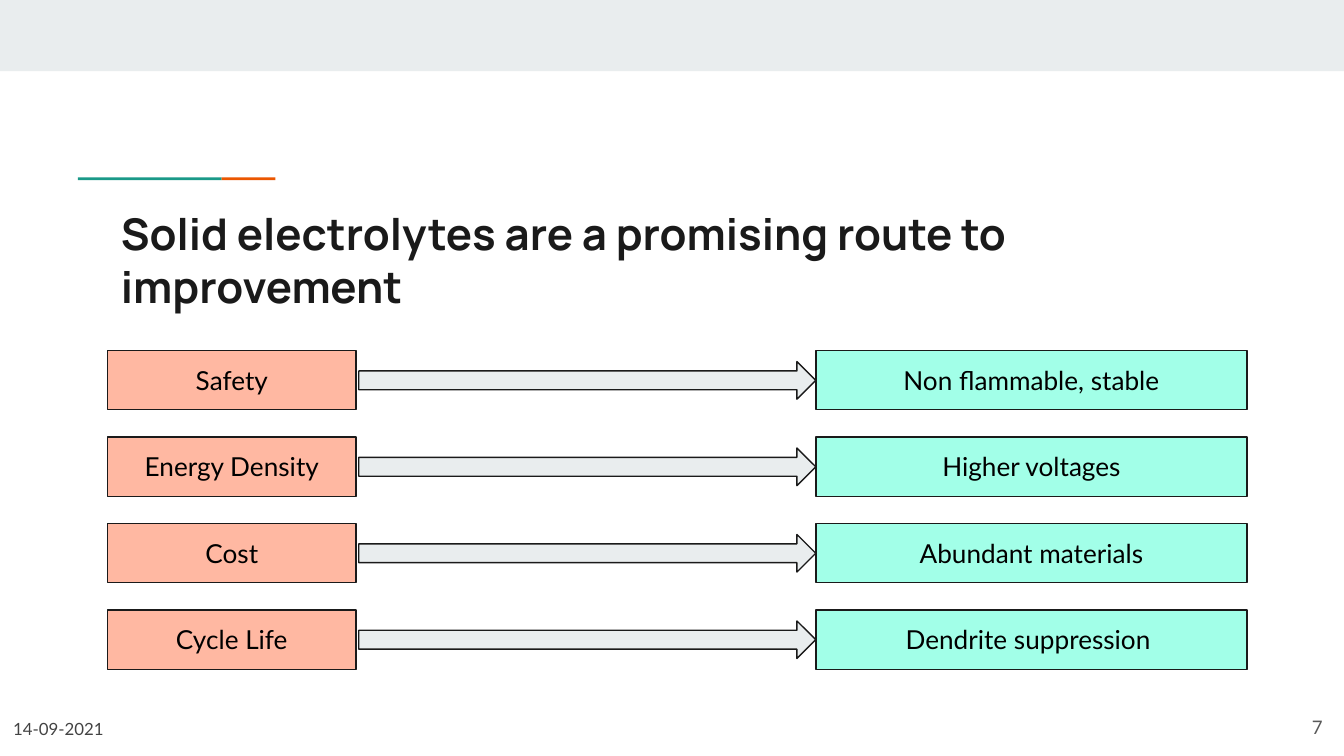
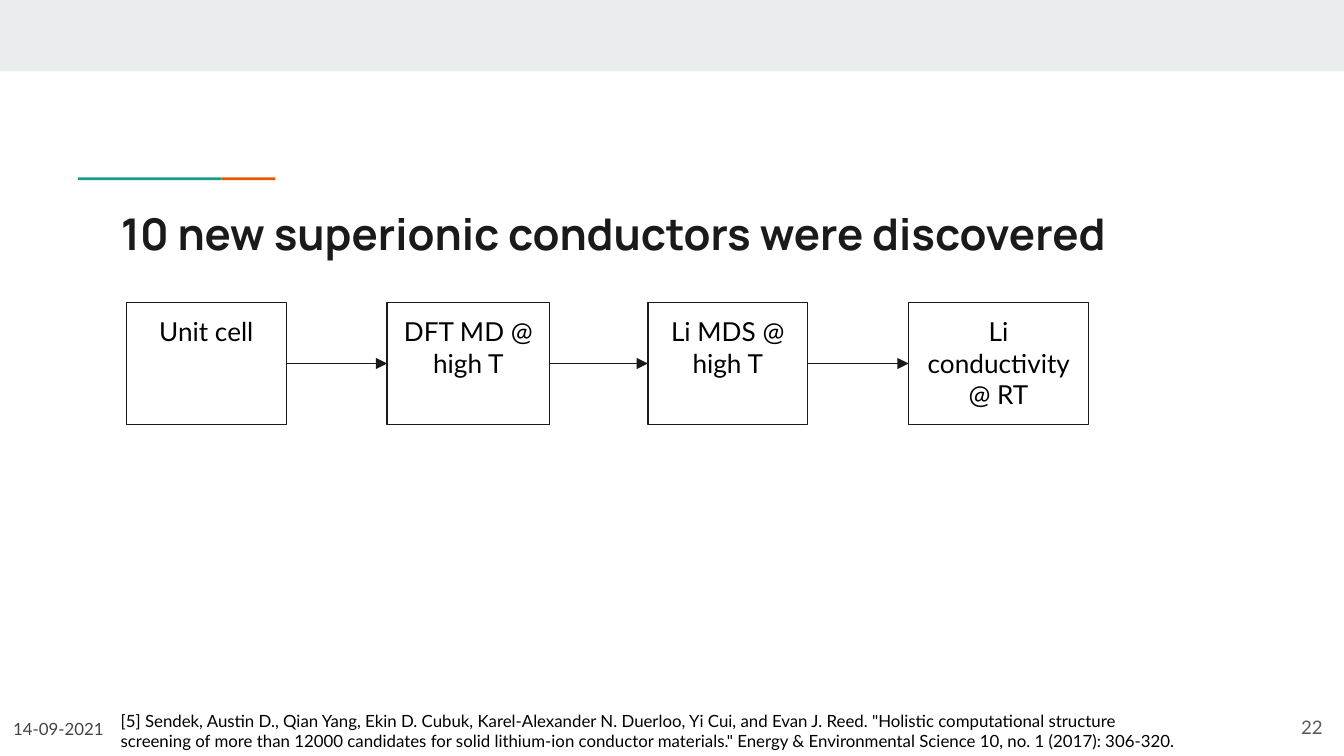
from itertools import pairwise

from lxml.etree import SubElement
from pptx import Presentation
from pptx.dml.color import RGBColor
from pptx.enum.shapes import MSO_CONNECTOR as Connector, MSO_SHAPE as Shape
from pptx.enum.text import MSO_ANCHOR as Anchor, PP_ALIGN as Align
from pptx.oxml.ns import qn
from pptx.util import Inches, Pt

INK = RGBColor(0x1A, 0x1A, 0x1A)
BLACK = RGBColor(0x00, 0x00, 0x00)
DATE_GRAY = RGBColor(0x43, 0x43, 0x43)
NUMBER_GRAY = RGBColor(0x59, 0x59, 0x59)
BAND_GRAY = RGBColor(0xE9, 0xED, 0xEE)
TEAL = RGBColor(0x1A, 0x99, 0x88)
ORANGE = RGBColor(0xEB, 0x56, 0x00)
SALMON = RGBColor(0xFF, 0xB8, 0xA2)
MINT = RGBColor(0xA2, 0xFF, 0xE8)

WIDTH = 10
HEIGHT = WIDTH * 9 / 16
MARGIN = 0.08 * WIDTH


def write(shape, text, font="Lato", size=14, color=BLACK, bold=False,
          align=Align.LEFT, anchor=Anchor.TOP):
    frame = shape.text_frame
    frame.word_wrap = True
    frame.vertical_anchor = anchor
    frame.margin_left = frame.margin_right = Inches(0.1)
    frame.margin_top = frame.margin_bottom = Inches(0.1)
    frame.text = text
    paragraph = frame.paragraphs[0]
    paragraph.alignment = align
    paragraph.font.name = font
    paragraph.font.size = Pt(size)
    paragraph.font.bold = bold
    paragraph.font.color.rgb = color


def draw(slide, kind, left, top, width, height, fill=None, outline=None):
    shape = slide.shapes.add_shape(
        kind, Inches(left), Inches(top), Inches(width), Inches(height))
    shape.shadow.inherit = False
    if fill is None:
        shape.fill.background()
    else:
        shape.fill.solid()
        shape.fill.fore_color.rgb = fill
    if outline is None:
        shape.line.fill.background()
    else:
        shape.line.color.rgb = outline
        shape.line.width = Pt(0.75)
    return shape


presentation = Presentation()
presentation.slide_width = Inches(WIDTH)
presentation.slide_height = Inches(HEIGHT)
title_only = presentation.slide_layouts[5]

# Shared frame: band, accent rule, title, slide number and date
slides = []
for heading, number in [
    ("Solid electrolytes are a promising route to improvement", "7"),
    ("10 new superionic conductors were discovered", "22"),
]:
    slide = presentation.slides.add_slide(title_only)
    slides.append(slide)
    draw(slide, Shape.RECTANGLE, 0, 0, WIDTH, 0.53, BAND_GRAY)
    draw(slide, Shape.RECTANGLE, 0.58, 1.32, 1.07, 0.02, TEAL)
    draw(slide, Shape.RECTANGLE, 1.65, 1.32, 0.4, 0.02, ORANGE)

    title = slide.shapes.title
    title.left, title.top = Inches(MARGIN), Inches(1.44)
    title.width, title.height = Inches(8.41), Inches(0.59)
    write(title, heading, font="Manrope", size=23.4, color=INK, bold=True)

    number_box = slide.shapes.add_textbox(
        Inches(9.34), Inches(HEIGHT - 0.43), Inches(0.6), Inches(0.43))
    write(number_box, number, size=10, color=NUMBER_GRAY, align=Align.RIGHT,
          anchor=Anchor.MIDDLE)
    date_box = slide.shapes.add_textbox(
        0, Inches(HEIGHT - 0.35), Inches(1.64), Inches(0.35))
    write(date_box, "14-09-2021", size=9, color=DATE_GRAY)

needs_slide, workflow_slide = slides

# Each need points to what solid electrolytes offer
ROW_TOP, ROW_HEIGHT, ARROW_HEIGHT = 2.61, 0.44, 0.28
ROW_PITCH = (4.54 - ROW_TOP) / 3
for row, (need, benefit) in enumerate([
    ("Safety", "Non flammable, stable"),
    ("Energy Density", "Higher voltages"),
    ("Cost", "Abundant materials"),
    ("Cycle Life", "Dendrite suppression "),
]):
    top = ROW_TOP + row * ROW_PITCH
    for text, left, width, fill in [
        (need, MARGIN, 1.85, SALMON),
        (benefit, 6.07, 3.21, MINT),
    ]:
        box = draw(needs_slide, Shape.RECTANGLE, left, top, width, ROW_HEIGHT,
                   fill, INK)
        write(box, text, align=Align.CENTER)
    draw(needs_slide, Shape.RIGHT_ARROW, 2.67,
         top + (ROW_HEIGHT - ARROW_HEIGHT) / 2, 3.4, ARROW_HEIGHT,
         BAND_GRAY, INK)

# Workflow from unit cell to conductivity
STEP_LEFT, STEP_PITCH = 0.94, 1.94
step_boxes = []
for column, (text, width) in enumerate([
    ("Unit cell", 1.19),
    ("DFT MD @ high T", 1.21),
    ("Li MDS @ high T", 1.19),
    ("Li conductivity @ RT", 1.34),
]):
    box = draw(workflow_slide, Shape.RECTANGLE,
               STEP_LEFT + column * STEP_PITCH, 0.4 * HEIGHT, width, 0.91,
               outline=INK)
    write(box, text, align=Align.CENTER)
    step_boxes.append(box)

RIGHT_SITE, LEFT_SITE = 3, 1
for step, next_step in pairwise(step_boxes):
    connector = workflow_slide.shapes.add_connector(
        Connector.STRAIGHT, 0, 0, 0, 0)
    connector.begin_connect(step, RIGHT_SITE)
    connector.end_connect(next_step, LEFT_SITE)
    connector.line.color.rgb = INK
    connector.line.width = Pt(0.75)
    properties = connector.element.spPr
    SubElement(properties.find(qn("a:ln")), qn("a:tailEnd"), type="triangle")
    SubElement(properties, qn("a:effectLst"))

citation_box = workflow_slide.shapes.add_textbox(
    Inches(MARGIN), Inches(5.19), Inches(8.13), Inches(0.5))
write(
    citation_box,
    "[5] Sendek, Austin D., Qian Yang, Ekin D. Cubuk, Karel-Alexander N. "
    "Duerloo, Yi Cui, and Evan J. Reed. \"Holistic computational structure "
    "screening of more than 12000 candidates for solid lithium-ion conductor "
    "materials.\" Energy & Environmental Science 10, no. 1 (2017): 306-320.",
    size=9)

presentation.save("out.pptx")
